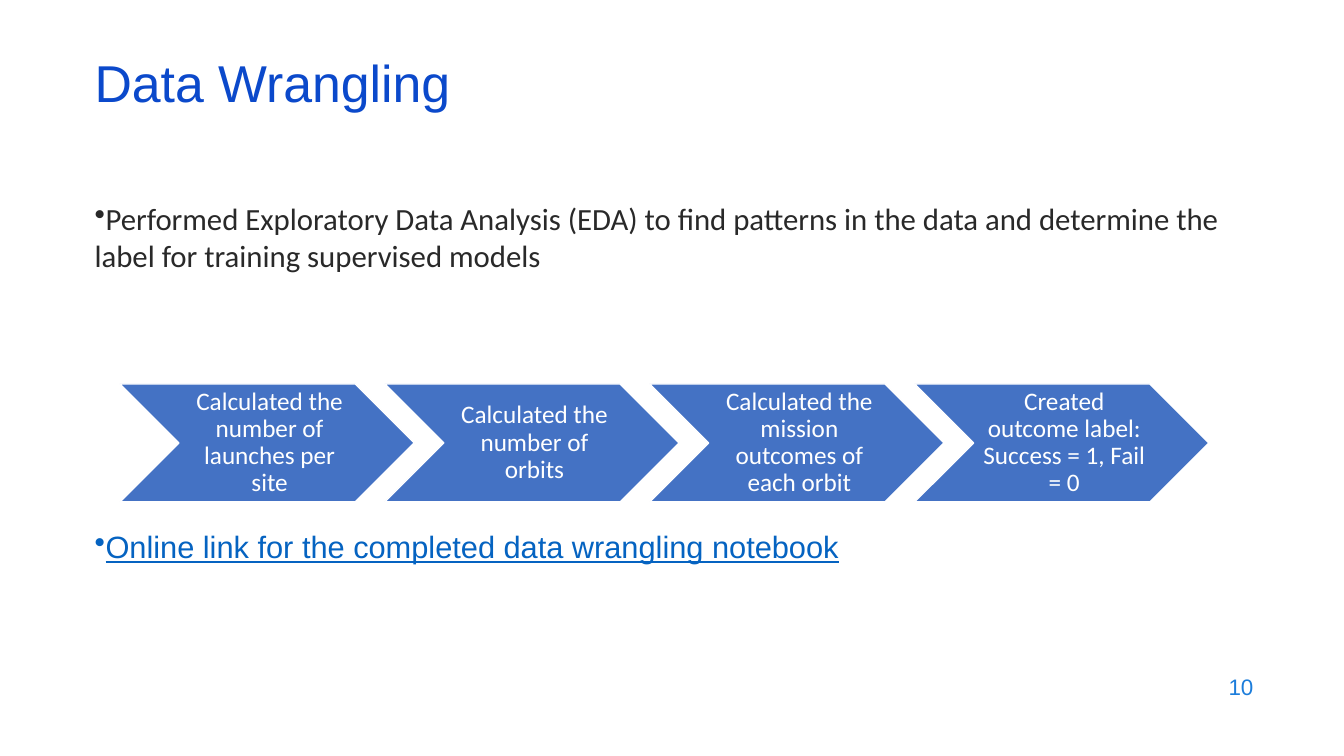
from dataclasses import dataclass

from pptx import Presentation
from pptx.dml.color import RGBColor
from pptx.enum.shapes import MSO_SHAPE as Shape
from pptx.enum.text import MSO_ANCHOR as Anchor, PP_ALIGN as Align
from pptx.oxml.ns import qn
from pptx.util import Inches, Pt


@dataclass(frozen=True)
class Theme:
    heading_font: str = "Arial"
    body_font: str = "Calibri"
    title_color: str = "0B49CB"
    body_color: str = "292929"
    link_color: str = "0563C1"
    number_color: str = "1C7DDB"
    step_color: str = "4472C4"
    white: str = "FFFFFF"
    title_size: int = 37
    body_size: int = 22
    step_size: int = 18
    number_size: int = 16


THEME = Theme()

STEPS = [
    "Calculated the number of launches per site",
    "Calculated the number of orbits",
    "Calculated the mission outcomes of each orbit",
    "Created outcome label: Success = 1, Fail = 0",
]


def write_text(shape, text, font, size, color, bullet=False, underline=None,
               anchor=Anchor.TOP, **paragraph_format):
    """Put one formatted paragraph into a shape."""
    frame = shape.text_frame
    frame.word_wrap = True
    frame.vertical_anchor = anchor
    paragraph = frame.paragraphs[0]
    if bullet:
        properties = paragraph._p.get_or_add_pPr()
        properties.set("marL", "0")
        properties.set("indent", "0")
        mark = properties.makeelement(qn("a:buChar"), {"char": "•"})
        properties.append(mark)
    for name, value in paragraph_format.items():
        setattr(paragraph, name, value)
    run = paragraph.add_run()
    run.text = text
    font_format = {"name": font, "size": Pt(size), "underline": underline}
    for name, value in font_format.items():
        setattr(run.font, name, value)
    run.font.color.rgb = RGBColor.from_string(color)


def add_text(slide, box, *text_args, **text_format):
    """Add a text box at box = (left, top, width, height) in inches."""
    shape = slide.shapes.add_textbox(*map(Inches, box))
    write_text(shape, *text_args, **text_format)


def add_process(slide, box, steps):
    """Fill the box with a row of chevrons, each overlapping a tenth of its width."""
    left, top, width, height = box
    pitch_ratio = 0.9
    step_width = width / (1 + pitch_ratio * (len(steps) - 1))
    for index, step in enumerate(steps):
        step_left = left + index * pitch_ratio * step_width
        chevron = slide.shapes.add_shape(
            Shape.CHEVRON, *map(Inches, (step_left, top, step_width, height)))
        chevron.shadow.inherit = False
        chevron.fill.solid()
        chevron.fill.fore_color.rgb = RGBColor.from_string(THEME.step_color)
        chevron.line.color.rgb = RGBColor.from_string(THEME.white)
        chevron.line.width = Pt(1)
        margins = {"margin_left": 0.08, "margin_top": 0.03,
                   "margin_right": 0.03, "margin_bottom": 0.03}
        for name, value in margins.items():
            setattr(chevron.text_frame, name, Inches(value))
        write_text(chevron, step, THEME.body_font, THEME.step_size, THEME.white,
                   anchor=Anchor.MIDDLE, alignment=Align.CENTER, line_spacing=0.9)


def build_wrangling_slide(slide):
    # Title
    add_text(slide, (0.84, 0.59, 11.5, 0.6), "Data Wrangling",
             THEME.heading_font, THEME.title_size, THEME.title_color,
             anchor=Anchor.MIDDLE, line_spacing=0.7)

    # Summary bullet
    add_text(slide, (0.84, 1.93, 11.64, 0.9),
             "Performed Exploratory Data Analysis (EDA) to find patterns in the data "
             "and determine the label for training supervised models",
             THEME.body_font, THEME.body_size, THEME.body_color, bullet=True)

    # Process steps
    add_process(slide, (1.19, 3.81, 10.8, 1.17), STEPS)

    # Notebook reference
    add_text(slide, (0.84, 5.19, 11.64, 0.5),
             "Online link for the completed data wrangling notebook",
             THEME.heading_font, THEME.body_size, THEME.link_color,
             bullet=True, underline=True)

    # Slide number
    add_text(slide, (9.53, 6.59, 3, 0.44), "10",
             THEME.heading_font, THEME.number_size, THEME.number_color,
             anchor=Anchor.MIDDLE, alignment=Align.RIGHT)


def main():
    presentation = Presentation()
    presentation.slide_width = Inches(13.33)
    presentation.slide_height = Inches(7.5)
    blank_layout = presentation.slide_layouts[6]
    build_wrangling_slide(presentation.slides.add_slide(blank_layout))
    presentation.save("out.pptx")


if __name__ == "__main__":
    main()
